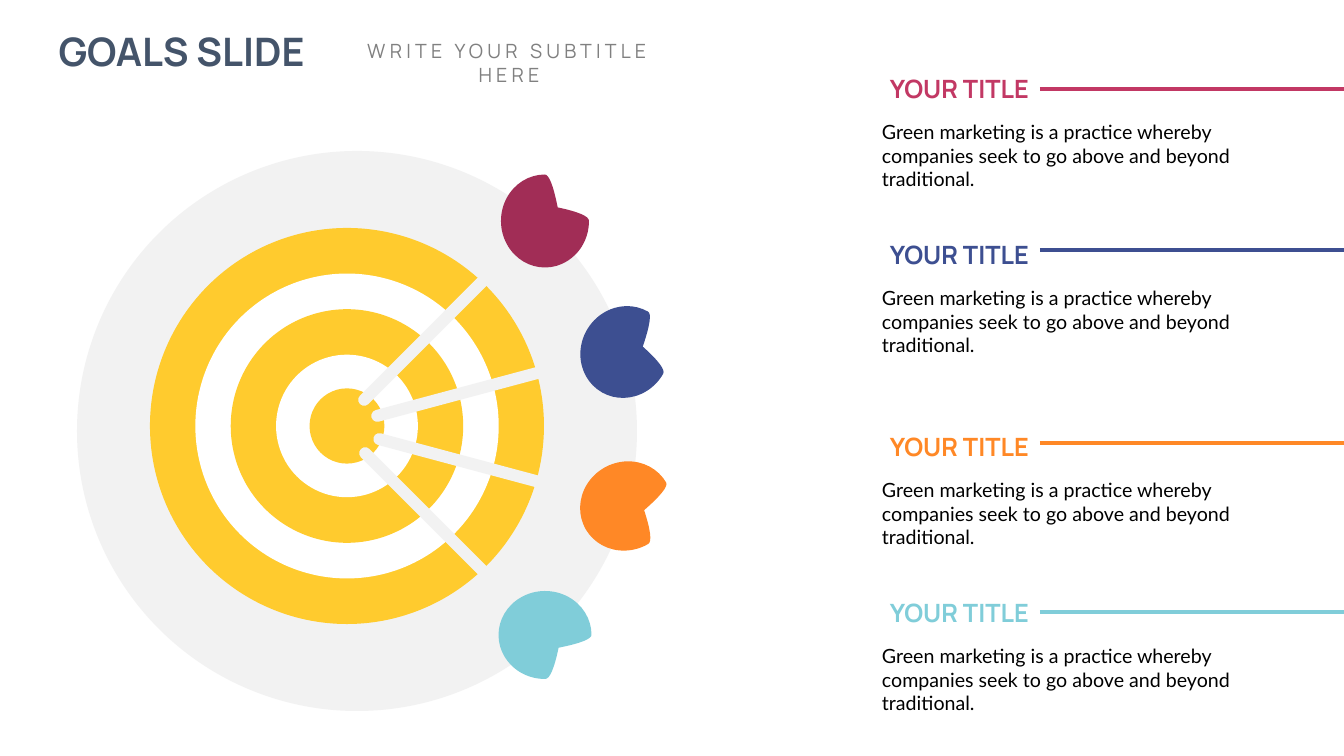
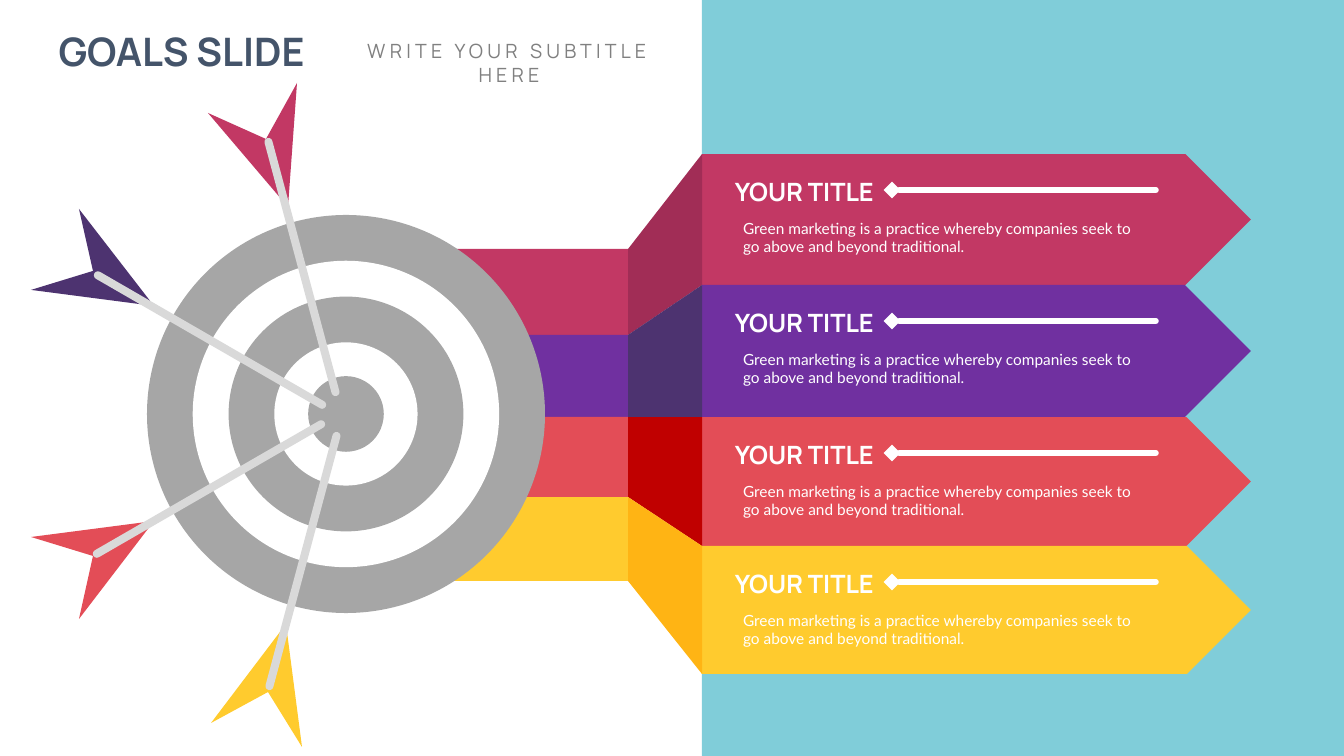
from collections import namedtuple
from dataclasses import dataclass
from itertools import pairwise

from lxml.etree import SubElement
from pptx import Presentation
from pptx.dml.color import RGBColor
from pptx.enum.shapes import MSO_CONNECTOR, MSO_SHAPE as PRESET
from pptx.enum.text import MSO_ANCHOR, MSO_AUTO_SIZE, PP_ALIGN
from pptx.oxml.ns import qn
from pptx.util import Pt

PX = 914400 / 100.8
Box = namedtuple("Box", "x y w h")


@dataclass(frozen=True)
class Theme:
    heading_font: str = "Manrope"
    body_font: str = "Lato"
    title_size: int = 28
    row_title_size: int = 18
    body_size: int = 14
    small_size: int = 11
    slate: str = "44546A"
    gray: str = "808080"
    ring_gray: str = "A6A6A6"
    shaft: str = "D9D9D9"
    pale: str = "F2F2F2"
    white: str = "FFFFFF"
    black: str = "000000"
    pink: str = "C23864"
    crimson: str = "A12D56"
    blue: str = "3D4F91"
    orange: str = "FF8826"
    teal: str = "80CDD9"
    purple: str = "7030A0"
    plum: str = "4D3370"
    coral: str = "E34D57"
    red: str = "C00000"
    yellow: str = "FFCB2E"
    amber: str = "FFB414"


T = Theme()
ROW_TITLE = "YOUR TITLE"
ROW_BODY = ("Green marketing is a practice whereby companies seek "
            "to go above and beyond traditional.")


# Drawing helpers

def emu(*lengths):
    return [round(length * PX) for length in lengths]


def set_all(target, values):
    for name, value in values.items():
        setattr(target, name, value)


def paint(shape, color):
    shape.shadow.inherit = False
    shape.fill.solid()
    shape.fill.fore_color.rgb = RGBColor.from_string(color)
    shape.line.fill.background()


def add_preset(slide, kind, box, color, rotation=0, adjust=None):
    shape = slide.shapes.add_shape(kind, *emu(*box))
    paint(shape, color)
    shape.rotation = rotation
    if adjust is not None:
        shape.adjustments[0] = adjust


def centered(x, y, w, h):
    """Box of size w by h around the point x, y."""
    return Box(x - w / 2, y - h / 2, w, h)


def add_polygon(slide, points, color):
    start, *others = points
    builder = slide.shapes.build_freeform(*start, scale=PX)
    builder.add_line_segments(others, close=True)
    paint(builder.convert_to_shape(), color)


def add_rule(slide, x1, x2, y, color, width, diamond=False):
    """Horizontal line, with a diamond start and round ends on request."""
    rule = slide.shapes.add_connector(
        MSO_CONNECTOR.STRAIGHT, *emu(x1, y, x2, y))
    rule.line.width = Pt(width)
    rule.line.color.rgb = RGBColor.from_string(color)
    properties = rule._element.spPr
    if diamond:
        ln = properties.find(qn("a:ln"))
        ln.set("cap", "rnd")
        SubElement(ln, qn("a:round"))
        SubElement(ln, qn("a:headEnd")).set("type", "diamond")
    SubElement(properties, qn("a:effectLst"))


def add_text(slide, box, text, size, color, font=T.heading_font, bold=False,
             align=PP_ALIGN.LEFT, spacing=None, **frame_format):
    frame = slide.shapes.add_textbox(*emu(*box)).text_frame
    set_all(frame, {"auto_size": MSO_AUTO_SIZE.SHAPE_TO_FIT_TEXT,
                    "word_wrap": True, **frame_format})
    paragraph = frame.paragraphs[0]
    paragraph.alignment = align
    run = paragraph.add_run()
    run.text = text
    set_all(run.font, {"name": font, "size": Pt(size), "bold": bold})
    run.font.color.rgb = RGBColor.from_string(color)
    if spacing:
        run._r.get_or_add_rPr().set("spc", str(spacing))


# Regions

def add_header(slide, box):
    add_text(slide, Box(box.x, box.y, 267, 57), "GOALS SLIDE", T.title_size,
             T.slate, bold=True, align=PP_ALIGN.CENTER, word_wrap=False)
    add_text(slide, Box(box.x + 276, box.y + 12, 370, 34),
             "WRITE YOUR SUBTITLE HERE", T.body_size, T.gray,
             align=PP_ALIGN.CENTER, spacing=300)


def add_row_title(slide, box, color):
    add_text(slide, box, ROW_TITLE, T.row_title_size, color, bold=True,
             word_wrap=False, vertical_anchor=MSO_ANCHOR.MIDDLE)


def add_row_body(slide, box, size, color):
    side, edge = emu(24, 12)
    add_text(slide, box, ROW_BODY, size, color, T.body_font,
             margin_left=side, margin_right=side,
             margin_top=edge, margin_bottom=edge)


def add_target(slide, box, color):
    """Bull's-eye of alternating discs; returns its centre."""
    cx, cy = box.x + box.w / 2, box.y + box.h / 2
    ring_colors = (color, T.white, color, T.white, color)
    for share, ring_color in zip((1, 0.77, 0.59, 0.36, 0.19), ring_colors):
        add_preset(slide, PRESET.OVAL,
                   centered(cx, cy, box.w * share, box.h * share), ring_color)
    return cx, cy


def add_darts(slide, box):
    """Target with four pale shafts, each pointing at a coloured drop."""
    cx, cy = add_target(slide, box, T.yellow)
    darts = (
        # shaft centre, shaft turn, drop centre, drop turn, drop colour
        ((153, -43), 75, (278, -74), 29.7, T.blue),
        ((107, -116), 45, (198, -205), 359.7, T.crimson),
        ((108, 117), 135, (198, 209), 89.7, T.teal),
        ((155, 46), 105, (279, 80), 59.7, T.orange),
    )
    for (sx, sy), turn, (dx, dy), drop_turn, color in darts:
        add_preset(slide, PRESET.ROUNDED_RECTANGLE,
                   centered(cx + sx, cy + sy, 12, 266), T.pale, turn, 0.5)
        add_preset(slide, PRESET.TEAR,
                   centered(cx + dx, cy + dy, 88, 93), color, drop_turn, 0.291)


def add_arrows(slide, box):
    """Target with four feathered arrows stuck in it."""
    cx, cy = add_target(slide, box, T.ring_gray)
    arrows = (
        # shaft centre, shaft turn, feather corners, feather colour
        ((-44, -147), 255,
         ((-138, -301), (-80, -275), (-49, -331), (-58, -207)), T.pink),
        ((-43, 147), 285,
         ((-135, 309), (-78, 278), (-44, 333), (-60, 210)), T.yellow),
        ((-136, -74), 210,
         ((-315, -124), (-253, -143), (-267, -205), (-192, -108)), T.plum),
        ((-137, 75), 330,
         ((-315, 123), (-253, 142), (-267, 205), (-192, 107)), T.coral),
    )
    for (sx, sy), turn, feather, color in arrows:
        add_polygon(slide, [(cx + x, cy + y) for x, y in feather], color)
        add_preset(slide, PRESET.ROUNDED_RECTANGLE,
                   centered(cx + sx, cy + sy, 267, 8), T.shaft, turn, 0.5)


def add_goal_row(slide, box, rule_drop, color):
    add_row_title(slide, Box(box.x + 22, box.y, 161, 40), color)
    add_row_body(slide, Box(box.x, box.y + 40, 462, 96), T.body_size, T.black)
    add_rule(slide, box.x + 182, box.x + box.w, box.y + rule_drop, color, 3.5)


def add_ribbons(slide, box):
    """Bands that leave the target, fold outwards and end in a point."""
    fold_start, fold_end = box.x + 284, box.x + 358
    near_edges = pairwise(box.y + y for y in (95, 181, 263, 343, 427))
    far_edges = pairwise(box.y + y for y in (0, 131, 263, 392, 520))
    colors = ((T.pink, T.crimson), (T.purple, T.plum),
              (T.coral, T.red), (T.yellow, T.amber))
    for near, far, (color, fold_color) in zip(near_edges, far_edges, colors):
        top, bottom = far
        add_preset(slide, PRESET.RECTANGLE,
                   Box(box.x, near[0], 284, near[1] - near[0]), color)
        add_preset(slide, PRESET.PENTAGON,
                   Box(fold_end, top, box.x + box.w - fold_end, bottom - top),
                   color)
        add_polygon(slide, ((fold_end, top), (fold_end, bottom),
                            (fold_start, near[1]), (fold_start, near[0])),
                    fold_color)
        add_row_title(slide, Box(fold_end + 23, top + 14, 182, 46), T.white)
        add_row_body(slide, Box(fold_end + 17, top + 53, 455, 70),
                     T.small_size, T.white)
        add_rule(slide, fold_end + 190, fold_end + 454, top + 36,
                 T.white, 4, diamond=True)


# Slides

HEADER = Box(48, 22, 646, 57)


def build_drop_slide(slide):
    add_preset(slide, PRESET.OVAL, Box(77, 151, 560, 560), T.pale)
    add_header(slide, HEADER)
    add_darts(slide, Box(150, 228, 394, 396))
    rows = ((68, 21, T.pink), (234, 16, T.blue),
            (426, 17, T.orange), (592, 20, T.teal))
    for top, rule_drop, color in rows:
        add_goal_row(slide, Box(858, top, 486, 136), rule_drop, color)


def build_ribbon_slide(slide):
    add_preset(slide, PRESET.RECTANGLE, Box(702, 0, 642, 756), T.teal)
    add_header(slide, HEADER)
    add_ribbons(slide, Box(344, 154, 907, 520))
    add_arrows(slide, Box(147, 215, 398, 398))


def main():
    deck = Presentation()
    deck.slide_width, deck.slide_height = emu(1344, 756)
    blank = deck.slide_layouts[6]
    for build in (build_drop_slide, build_ribbon_slide):
        build(deck.slides.add_slide(blank))
    deck.save("out.pptx")


if __name__ == "__main__":
    main()
